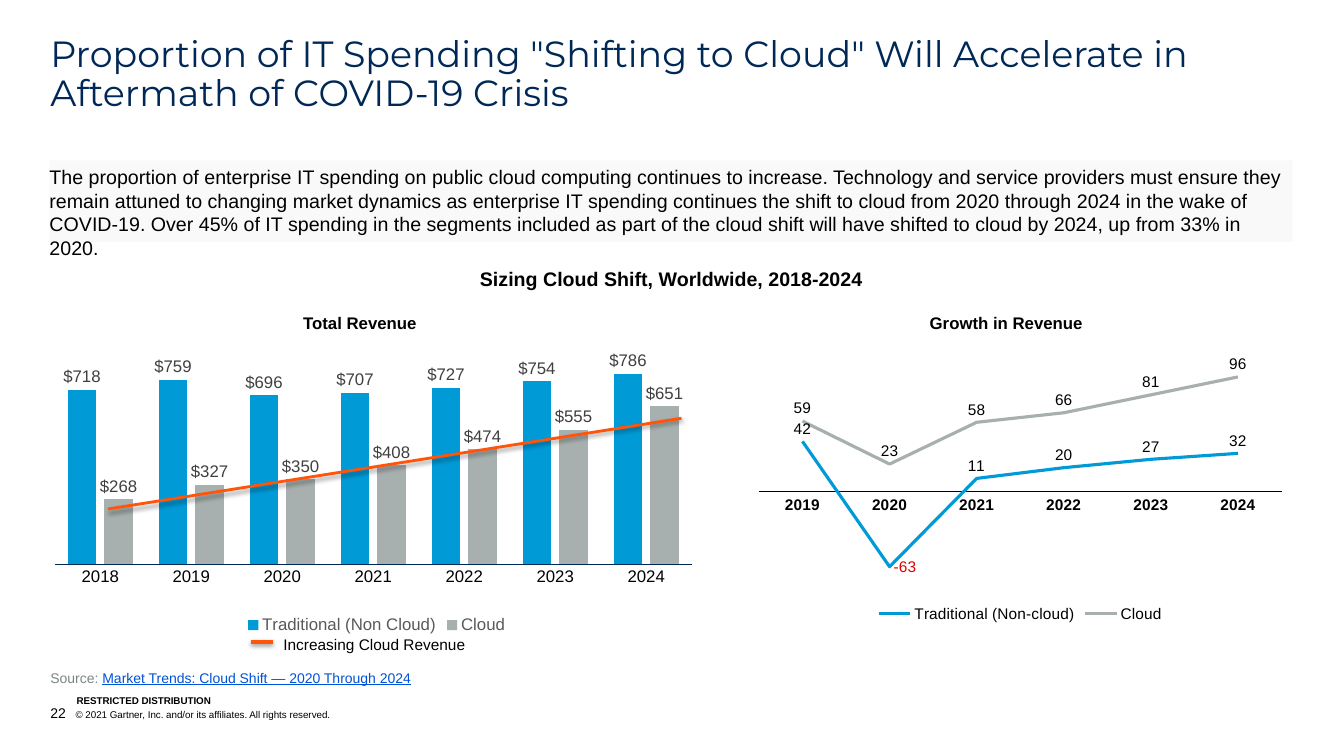
from pptx import Presentation
from pptx.chart.data import CategoryChartData
from pptx.dml.color import RGBColor
from pptx.enum.chart import XL_CHART_TYPE as ChartType
from pptx.enum.chart import XL_LABEL_POSITION as LabelPosition
from pptx.enum.chart import XL_LEGEND_POSITION as LegendPosition
from pptx.enum.chart import XL_MARKER_STYLE as MarkerStyle
from pptx.enum.chart import XL_TICK_MARK as TickMark
from pptx.enum.shapes import MSO_CONNECTOR as Connector
from pptx.enum.text import MSO_ANCHOR as Anchor
from pptx.enum.text import PP_ALIGN as Align
from pptx.oxml import parse_xml
from pptx.oxml.ns import nsdecls
from pptx.util import Inches, Pt

BLACK = RGBColor(0x00, 0x00, 0x00)
NAVY = RGBColor(0x00, 0x28, 0x56)
BLUE = RGBColor(0x00, 0x9A, 0xD7)
GRAY = RGBColor(0xA7, 0xAF, 0xAF)
ORANGE = RGBColor(0xFF, 0x54, 0x0A)
LINK_BLUE = RGBColor(0x00, 0x52, 0xD7)
SOURCE_GRAY = RGBColor(0x7A, 0x86, 0x86)
LABEL_GRAY = RGBColor(0x40, 0x40, 0x40)
LEGEND_GRAY = RGBColor(0x59, 0x59, 0x59)
PALE_GRAY = RGBColor(0xF9, 0xF9, 0xF9)
RED = RGBColor(0xE0, 0x00, 0x00)

SLIDE_WIDTH, SLIDE_HEIGHT = Inches(13.33), Inches(7.5)
LEFT_EDGE = 3.75
SUBHEAD_TOP, SUBHEAD_WIDTH = 40.67, 40.66

INTRO = (
    "The proportion of enterprise IT spending on public cloud computing continues to increase. "
    "Technology and service providers must ensure they remain attuned to changing market dynamics "
    "as enterprise IT spending continues the shift to cloud from 2020 through 2024 in the wake of "
    "COVID-19. Over 45% of IT spending in the segments included as part of the cloud shift will "
    "have shifted to cloud by 2024, up from 33% in 2020."
)


def area(left, top, width, height):
    """Turn percentages of the slide's width and height into lengths."""
    return (
        int(SLIDE_WIDTH * left / 100), int(SLIDE_HEIGHT * top / 100),
        int(SLIDE_WIDTH * width / 100), int(SLIDE_HEIGHT * height / 100),
    )


def style_font(font, size, color=BLACK, bold=False, name="Arial", underline=False):
    font.name, font.size, font.bold = name, Pt(size), bold
    font.color.rgb = color
    if underline:
        font.underline = True


def add_span(para, text, **style):
    span = para.add_run()
    span.text = text
    style_font(span.font, **style)


def write(box, text, margins=(0, 0, 0, 0), align=Align.LEFT, anchor=Anchor.TOP, **style):
    """Fill a box with one formatted paragraph and return the paragraph."""
    frame = box.text_frame
    frame.word_wrap = True
    frame.vertical_anchor = anchor
    frame.margin_left, frame.margin_top, frame.margin_right, frame.margin_bottom = map(Inches, margins)
    para = frame.paragraphs[0]
    para.alignment = align
    add_span(para, text, **style)
    return para


def add_text(page, place, text, **style):
    return write(page.shapes.add_textbox(*area(*place)), text, **style)


def add_heading(page, place, text, size):
    add_text(page, place, text, size=size, bold=True, align=Align.CENTER,
             margins=(0.1, 0.05, 0.1, 0.05))


def add_orange_line(page, start, end, width):
    line = page.shapes.add_connector(Connector.STRAIGHT, *area(*start, *end))
    line.line.color.rgb = ORANGE
    line.line.width = Pt(width)
    line._element.spPr.append(parse_xml(
        f'<a:effectLst {nsdecls("a")}><a:outerShdw blurRad="40000" dist="20000" dir="5400000" '
        'rotWithShape="0"><a:srgbClr val="000000"><a:alpha val="38000"/></a:srgbClr>'
        '</a:outerShdw></a:effectLst>'))


def set_plot_layout(chart, **shares):
    """Fix the inner plot area at x, y, w and h, as shares of the chart."""
    plot_area = chart._chartSpace.chart.plotArea
    for layout in plot_area.findall("{*}layout"):
        plot_area.remove(layout)
    sizes = "".join(f'<c:{key} val="{share}"/>' for key, share in shares.items())
    plot_area.insert(0, parse_xml(
        f'<c:layout {nsdecls("c")}><c:manualLayout><c:layoutTarget val="inner"/>'
        f'<c:xMode val="edge"/><c:yMode val="edge"/>{sizes}</c:manualLayout></c:layout>'))


def add_revenue_chart(page, kind, place, years, revenue, scale, size, axis_color, legend_color,
                      label_color, label_position, number_format="General", bold_years=False):
    data = CategoryChartData()
    data.categories = [str(year) for year in years]
    for name, values in revenue.items():
        data.add_series(name, values)
    chart = page.shapes.add_chart(kind, *area(*place), data).chart
    chart.has_title = False
    style_font(chart.font, size)

    chart.has_legend = True
    chart.legend.position = LegendPosition.BOTTOM
    chart.legend.include_in_layout = False
    style_font(chart.legend.font, size, legend_color)

    years_axis, value_axis = chart.category_axis, chart.value_axis
    years_axis.major_tick_mark = TickMark.NONE
    years_axis.format.line.color.rgb = axis_color
    years_axis.format.line.width = Pt(0.75)
    style_font(years_axis.tick_labels.font, size, bold=bold_years)
    value_axis.visible = False
    value_axis.has_major_gridlines = False
    value_axis.minimum_scale, value_axis.maximum_scale = scale

    chart.plots[0].vary_by_categories = False
    for series, color in zip(chart.plots[0].series, (BLUE, GRAY)):
        if kind == ChartType.LINE:
            series.smooth = False
            series.marker.style = MarkerStyle.NONE
            series.format.line.color.rgb = color
            series.format.line.width = Pt(2.25)
        else:
            series.format.fill.solid()
            series.format.fill.fore_color.rgb = color
        labels = series.data_labels
        labels.show_value = True
        labels.position = label_position
        labels.number_format = number_format
        labels.number_format_is_linked = False
        style_font(labels.font, size, label_color)
    return chart


def add_total_chart(page):
    chart = add_revenue_chart(
        page, ChartType.COLUMN_CLUSTERED, (3.08, 43.73, 49.89, 40.67), range(2018, 2025),
        {"Traditional (Non Cloud)": (718, 759, 696, 707, 727, 754, 786),
         "Cloud": (268, 327, 350, 408, 474, 555, 651)},
        scale=(0, 900), size=12, axis_color=NAVY, legend_color=LEGEND_GRAY,
        label_color=LABEL_GRAY, label_position=LabelPosition.OUTSIDE_END,
        number_format='"$"#,##0')
    chart.plots[0].gap_width = 89
    chart.plots[0].overlap = -27
    set_plot_layout(chart, x=0.02, y=0.05, w=0.95, h=0.71)


def add_growth_chart(page):
    chart = add_revenue_chart(
        page, ChartType.LINE, (55.66, 45.33, 40.51, 37.6), range(2019, 2025),
        {"Traditional (Non-cloud)": (42, -63, 11, 20, 27, 32),
         "Cloud": (59, 23, 58, 66, 81, 96)},
        scale=(-80, 120), size=11, axis_color=BLACK, legend_color=BLACK,
        label_color=BLACK, label_position=LabelPosition.ABOVE, bold_years=True)
    set_plot_layout(chart, x=0.02, y=0.02, w=0.96, h=0.84)
    decline = chart.plots[0].series[0].points[1].data_label
    style_font(decline.font, 11, RED)
    decline.position = LabelPosition.RIGHT


def add_title(page, text):
    title = page.shapes.title
    title.left, title.top, title.width, title.height = area(LEFT_EDGE, 4.8, 95.27, 10.53)
    para = write(title, text, size=26, color=NAVY, name="Montserrat")
    para.line_spacing = 0.9


def add_intro(page):
    box = page.shapes.add_textbox(*area(3.68, 21.2, 92.5, 10.8))
    box.fill.solid()
    box.fill.fore_color.rgb = PALE_GRAY
    write(box, INTRO, size=14, margins=(0, 0.05, 0, 0.05))


def add_footer(page):
    source = add_text(page, (LEFT_EDGE, 88.53, 27.76, 2.27), "Source: ", size=10, color=SOURCE_GRAY)
    add_span(source, "Market Trends: Cloud Shift — 2020 Through 2024",
             size=10, color=LINK_BLUE, underline=True)
    add_text(page, (5.7, 91.87, 18.98, 1.6), "RESTRICTED DISTRIBUTION",
             size=7, bold=True, anchor=Anchor.BOTTOM)
    copyright_line = add_text(page, (LEFT_EDGE, 93.2, 59.94, 2.27), "22",
                              size=10, anchor=Anchor.BOTTOM)
    indent = Inches(0.25)
    properties = copyright_line._p.get_or_add_pPr()
    properties.set("marL", str(indent))
    properties.set("indent", str(-indent))
    add_span(copyright_line, "\t© 2021 Gartner, Inc. and/or its affiliates. All rights reserved.", size=7)


def main():
    deck = Presentation()
    deck.slide_width, deck.slide_height = SLIDE_WIDTH, SLIDE_HEIGHT
    page = deck.slides.add_slide(deck.slide_layouts[5])

    add_title(page, 'Proportion of IT Spending "Shifting to Cloud" Will Accelerate in '
                    'Aftermath of COVID-19 Crisis')
    add_intro(page)
    add_heading(page, (29.63, 34.67, SUBHEAD_WIDTH, 4.53), "Sizing Cloud Shift, Worldwide, 2018-2024", 14)
    add_heading(page, (6.45, SUBHEAD_TOP, SUBHEAD_WIDTH, 4), "Total Revenue", 12)
    add_heading(page, (54.54, SUBHEAD_TOP, SUBHEAD_WIDTH, 4), "Growth in Revenue", 12)
    add_total_chart(page)
    add_growth_chart(page)
    add_orange_line(page, (8.03, 67.33), (50.71, 55.33), 2)
    add_orange_line(page, (18.68, 84.93), (20.33, 84.93), 3)
    add_text(page, (21.08, 83.33, 39.68, 3.87), "Increasing Cloud Revenue",
             size=11, margins=(0, 0.05, 0.1, 0.05))
    add_footer(page)
    deck.save("out.pptx")


if __name__ == "__main__":
    main()
